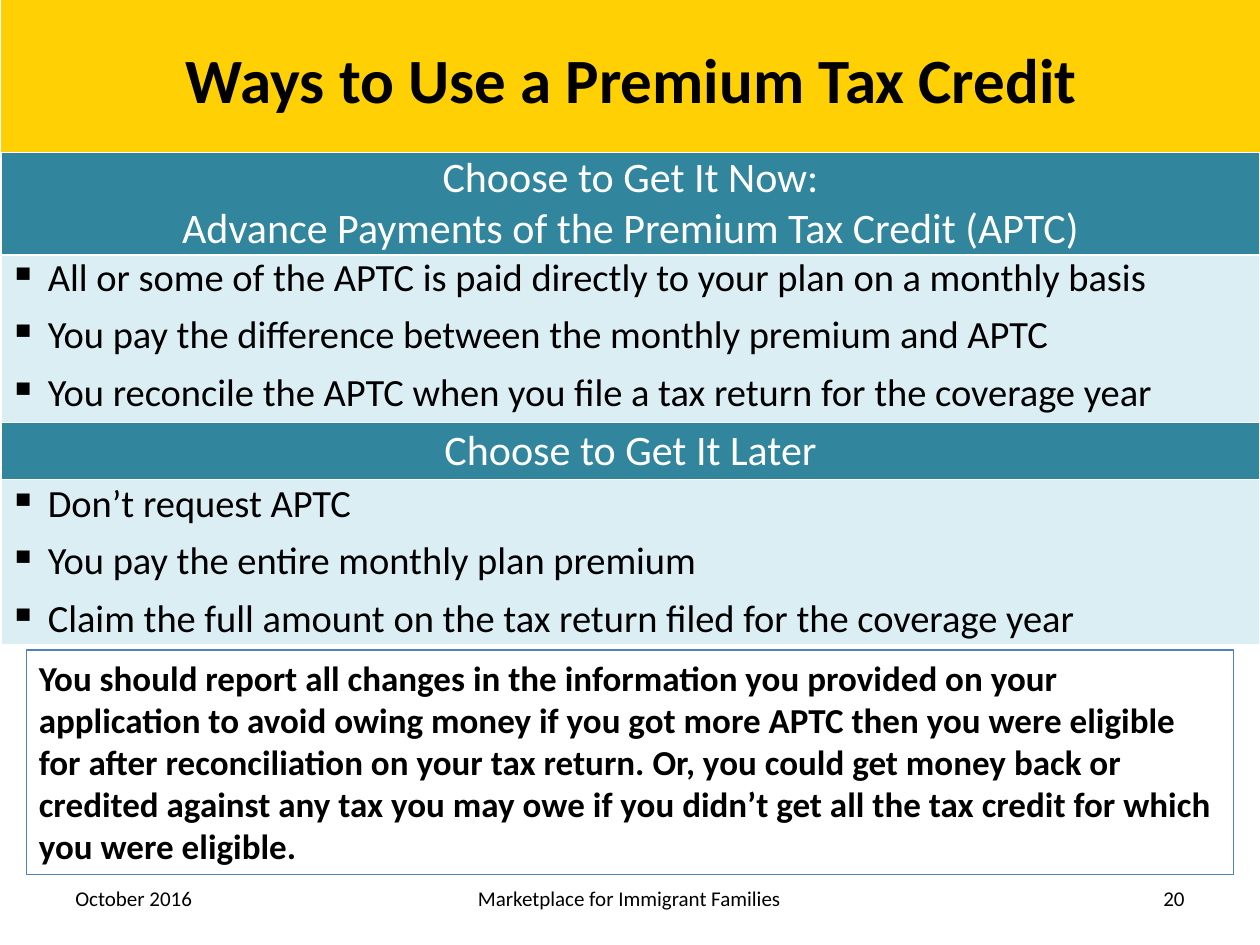
"""Build the slide on ways to use a premium tax credit."""
import dataclasses

import lxml.etree
import pptx
import pptx.dml.color
import pptx.enum.shapes
import pptx.enum.text
import pptx.oxml.ns
import pptx.util

Inches = pptx.util.Inches
Pt = pptx.util.Pt
Align = pptx.enum.text.PP_ALIGN
Anchor = pptx.enum.text.MSO_ANCHOR
qn = pptx.oxml.ns.qn


@dataclasses.dataclass
class Row:
    high: float
    lines: list[str]
    head: bool = False
    anchor: Anchor = Anchor.MIDDLE


@dataclasses.dataclass
class Foot:
    left: float
    width: float
    text: str
    align: Align


ROWS = [
    Row(0.81, ["Choose to Get It Now:",
               "Advance Payments of the Premium Tax Credit (APTC)"], head=True),
    Row(1.33, ["All or some of the APTC is paid directly to your plan on a monthly basis",
               "You pay the difference between the monthly premium and APTC",
               "You reconcile the APTC when you file a tax return for the coverage year"],
        anchor=Anchor.TOP),
    Row(0.45, ["Choose to Get It Later"], head=True),
    Row(1.31, ["Don’t request APTC",
               "You pay the entire monthly plan premium",
               "Claim the full amount on the tax return filed for the coverage year"]),
]
FEET = [
    Foot(0.5, 2.33, "October 2016", Align.LEFT),
    Foot(2.83, 4.33, "Marketplace for Immigrant Families", Align.CENTER),
    Foot(7.17, 2.33, "20", Align.RIGHT),
]
NOTE = (
    "You should report all changes in the information you provided on your "
    "application to avoid owing money if you got more APTC then you were eligible "
    "for after reconciliation on your tax return. Or, you could get money back or "
    "credited against any tax you may owe if you didn’t get all the tax credit for "
    "which you were eligible."
)


def paint(target, tint: str) -> None:
    target.solid()
    target.fore_color.rgb = pptx.dml.color.RGBColor.from_string(tint)


def style(para, size: float, tint: str = "000000", bold: bool = False,
          align: Align = Align.LEFT) -> None:
    para.alignment = align
    font = para.font
    font.name, font.size, font.bold = "Calibri", Pt(size), bold
    paint(font.fill, tint)


def bullet(para) -> None:
    props = para._p.get_or_add_pPr()
    props.set("marL", str(Inches(0.31)))
    props.set("indent", str(-Inches(0.31)))
    lxml.etree.SubElement(props, qn("a:buChar")).set("char", "▪")


def edge(cell) -> None:
    props = cell._tc.get_or_add_tcPr()
    for side in ("a:lnT", "a:lnB"):
        line = lxml.etree.SubElement(props, qn(side), w=str(Pt(1)))
        fill = lxml.etree.SubElement(line, qn("a:solidFill"))
        lxml.etree.SubElement(fill, qn("a:srgbClr"), val="FFFFFF")


def box(slide, left: float, top: float, width: float, high: float):
    shape = slide.shapes.add_shape(
        pptx.enum.shapes.MSO_SHAPE.RECTANGLE,
        Inches(left), Inches(top), Inches(width), Inches(high))
    shape.shadow.inherit = False
    return shape


def draw_title(slide) -> None:
    title = slide.shapes.title
    title.left, title.top = Inches(0.01), Inches(0.04)
    title.width, title.height = Inches(10), Inches(1.17)
    title.text_frame.text = "Ways to Use a Premium Tax Credit"
    title.text_frame.vertical_anchor = Anchor.MIDDLE
    style(title.text_frame.paragraphs[0], 36, bold=True, align=Align.CENTER)
    band = box(slide, 0.01, 0, 10, 1.25)
    paint(band.fill, "FFD004")
    band.line.fill.background()
    title._element.addprevious(band._element)


def draw_row(cell, row: Row) -> None:
    edge(cell)
    paint(cell.fill, "31859C" if row.head else "DBEEF4")
    cell.margin_left = cell.margin_right = Inches(0.06)
    cell.margin_top = cell.margin_bottom = 0
    cell.vertical_anchor = row.anchor
    cell.text_frame.text = "\n".join(row.lines)
    for step, para in enumerate(cell.text_frame.paragraphs):
        if row.head:
            style(para, 24, "FFFFFF", align=Align.CENTER)
        else:
            if step:
                para.space_before = Pt(6)
            bullet(para)
            style(para, 22)


def draw_table(slide) -> None:
    table = slide.shapes.add_table(
        len(ROWS), 1, Inches(0.01), Inches(1.21), Inches(9.99),
        Inches(sum(row.high for row in ROWS))).table
    table.first_row = table.horz_banding = False
    for step, row in enumerate(ROWS):
        table.rows[step].height = Inches(row.high)
        draw_row(table.cell(step, 0), row)


def draw_note(slide) -> None:
    note = box(slide, 0.21, 5.16, 9.58, 1.78)
    note.fill.background()
    paint(note.line.fill, "4F81BD")
    note.line.width = Pt(0.75)
    frame = note.text_frame
    frame.word_wrap = True
    frame.auto_size = pptx.enum.text.MSO_AUTO_SIZE.SHAPE_TO_FIT_TEXT
    frame.vertical_anchor = Anchor.TOP
    frame.text = NOTE
    style(frame.paragraphs[0], 20, bold=True)


def draw_foot(slide, foot: Foot) -> None:
    frame = slide.shapes.add_textbox(
        Inches(foot.left), Inches(6.93), Inches(foot.width), Inches(0.4)).text_frame
    frame.word_wrap = True
    frame.vertical_anchor = Anchor.MIDDLE
    frame.text = foot.text
    style(frame.paragraphs[0], 12, align=foot.align)


def main() -> None:
    deck = pptx.Presentation()
    deck.slide_width, deck.slide_height = Inches(10), Inches(7.5)
    slide = deck.slides.add_slide(deck.slide_layouts[5])
    draw_title(slide)
    draw_table(slide)
    draw_note(slide)
    for foot in FEET:
        draw_foot(slide, foot)
    deck.save("out.pptx")


if __name__ == "__main__":
    main()
